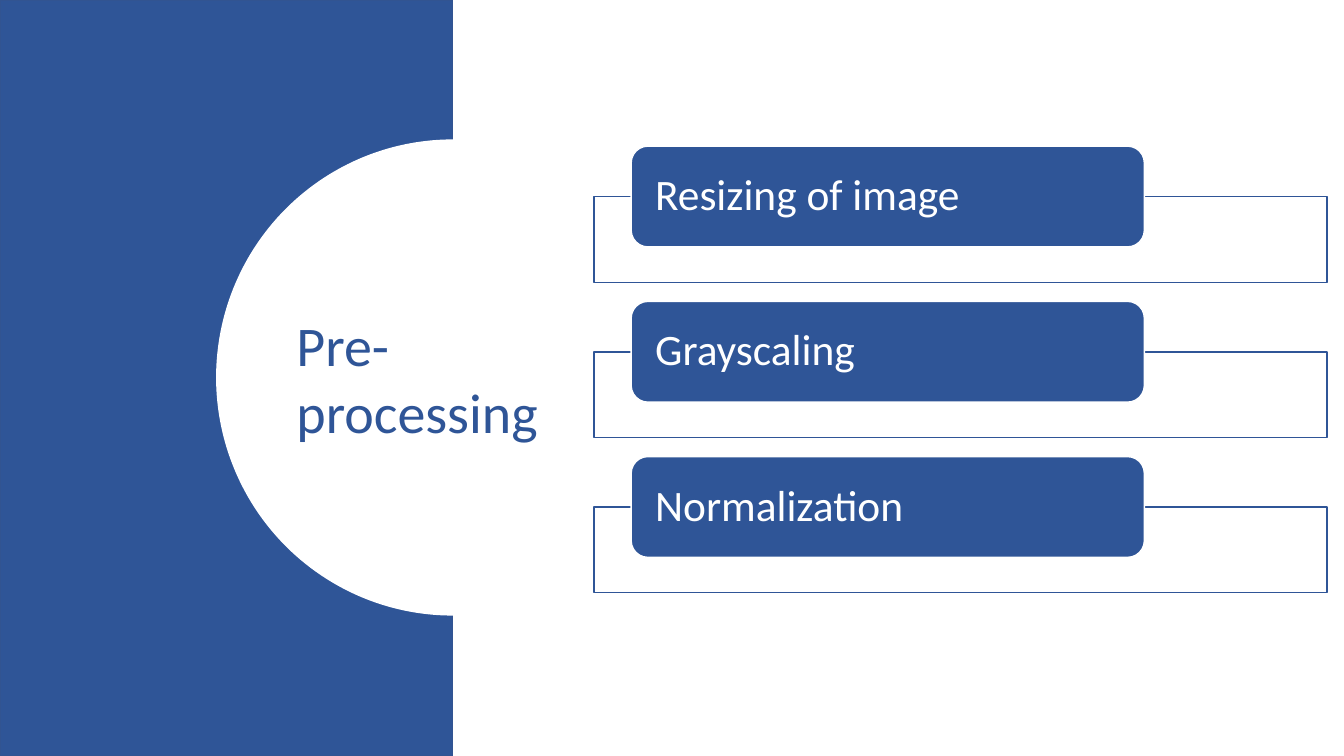
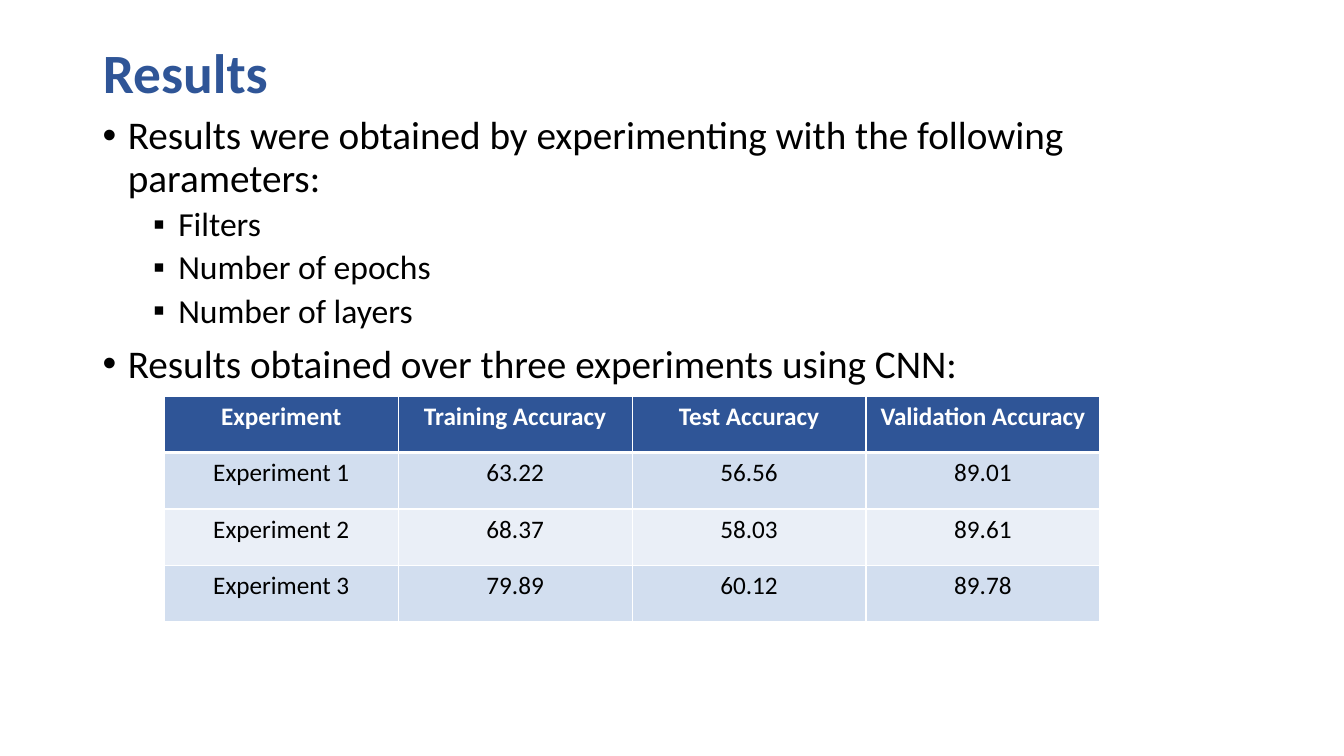
from lxml import etree
from pptx import Presentation
from pptx.dml.color import RGBColor
from pptx.enum.shapes import MSO_SHAPE
from pptx.enum.text import MSO_ANCHOR, MSO_AUTO_SIZE, PP_ALIGN
from pptx.oxml.ns import qn
from pptx.util import Inches, Pt

RECT = MSO_SHAPE.RECTANGLE
ROUND_RECT = MSO_SHAPE.ROUNDED_RECTANGLE
ELLIPSE = MSO_SHAPE.OVAL
MIDDLE = MSO_ANCHOR.MIDDLE
TOP = MSO_ANCHOR.TOP
LEFT = PP_ALIGN.LEFT
CENTER = PP_ALIGN.CENTER
NO_AUTOFIT = MSO_AUTO_SIZE.NONE

FONT = "Calibri"
BLUE = "2F5597"
PANEL_EDGE = "325491"
WHITE = "FFFFFF"
BLACK = "000000"
ROW_TINTS = ("D2DEEF", "EAEFF7")

STEPS = ("Resizing of image", "Grayscaling", "Normalization")
# Bullet level and text
FINDINGS = (
    (0, "Results were obtained by experimenting with the following parameters:"),
    (1, "Filters"),
    (1, "Number of epochs"),
    (1, "Number of layers"),
    (0, "Results obtained over three experiments using CNN:"),
)
# Per level: bullet, left indent in inches, size and space before in points
BULLET_LEVELS = (("•", 0.25, 28, 10), ("▪", 0.75, 24, 5))
ACCURACY = (
    ("Experiment", "Training Accuracy", "Test Accuracy", "Validation Accuracy"),
    ("Experiment 1", "63.22", "56.56", "89.01"),
    ("Experiment 2", "68.37", "58.03", "89.61"),
    ("Experiment 3", "79.89", "60.12", "89.78"),
)


def rgb(hex_color):
    return RGBColor.from_string(hex_color)


def box(left, top, width, height):
    return [Inches(v) for v in (left, top, width, height)]


def add_run(p, text, size, color, bold=False):
    r = p.add_run()
    r.text = text
    r.font.name = FONT
    r.font.size = Pt(size)
    r.font.bold = bold
    r.font.color.rgb = rgb(color)


def add_shape(slide, kind, position, fill, line):
    sp = slide.shapes.add_shape(kind, *box(*position))
    sp.shadow.inherit = False
    sp.fill.solid()
    sp.fill.fore_color.rgb = rgb(fill)
    sp.line.color.rgb = rgb(line)
    sp.line.width = Pt(1)
    return sp


def set_title(slide, text, position, size, bold=False, spacing=1.0):
    """Place and format the title, in front of the shapes drawn so far."""
    title = slide.shapes.title
    title.left, title.top, title.width, title.height = box(*position)
    slide.shapes._spTree.append(title._element)
    tf = title.text_frame
    tf.auto_size = NO_AUTOFIT
    tf.word_wrap = True
    tf.vertical_anchor = MIDDLE
    p = tf.paragraphs[0]
    p.alignment = LEFT
    p.line_spacing = spacing
    add_run(p, text, size, BLUE, bold)


def add_step(slide, text, top):
    """Add a blue card that overlaps an outlined band."""
    add_shape(slide, RECT, (5.89, top + 0.5, 7.27, 0.85), WHITE, BLUE)
    card = add_shape(slide, ROUND_RECT, (6.26, top, 5.09, 1), BLUE, WHITE)
    tf = card.text_frame
    tf.word_wrap = True
    tf.vertical_anchor = MIDDLE
    tf.margin_left = tf.margin_right = Inches(0.19)
    tf.margin_top = tf.margin_bottom = 0
    p = tf.paragraphs[0]
    p.alignment = LEFT
    p.line_spacing = 0.9
    add_run(p, text, 31, WHITE)


def set_bullet(p, char, indent):
    """Give a paragraph a bullet that hangs a quarter inch."""
    pPr = p._p.get_or_add_pPr()
    pPr.set("marL", str(Inches(indent)))
    pPr.set("indent", str(-Inches(0.25)))
    etree.SubElement(pPr, qn("a:buFont"), typeface="Arial")
    etree.SubElement(pPr, qn("a:buChar"), char=char)


def add_bullets(slide, items, position):
    tf = slide.shapes.add_textbox(*box(*position)).text_frame
    tf.word_wrap = True
    for i, (level, text) in enumerate(items):
        char, indent, size, space = BULLET_LEVELS[level]
        p = tf.add_paragraph() if i else tf.paragraphs[0]
        set_bullet(p, char, indent)
        p.level = level
        p.line_spacing = 0.9
        if i:
            p.space_before = Pt(space)
        add_run(p, text, size, BLACK)


def set_borders(cell, widths):
    """Draw white borders; widths are points for left, right, top, bottom."""
    tcPr = cell._tc.get_or_add_tcPr()
    for side, width in zip("LRTB", widths):
        ln = etree.SubElement(tcPr, qn(f"a:ln{side}"), w=str(Pt(width)))
        fill = etree.SubElement(ln, qn("a:solidFill"))
        etree.SubElement(fill, qn("a:srgbClr"), val=WHITE)


def add_table(slide, rows, position):
    frame = slide.shapes.add_table(len(rows), len(rows[0]), *box(*position))
    table = frame.table
    for i, row in enumerate(rows):
        header = i == 0
        fill = BLUE if header else ROW_TINTS[(i - 1) % 2]
        for j, text in enumerate(row):
            cell = table.cell(i, j)
            set_borders(cell, (1, 1, 3 if i == 1 else 1, 3 if header else 1))
            cell.fill.solid()
            cell.fill.fore_color.rgb = rgb(fill)
            cell.vertical_anchor = TOP
            p = cell.text_frame.paragraphs[0]
            p.alignment = CENTER
            add_run(p, text, 18, WHITE if header else BLACK, header)


def build_preprocessing(slide):
    add_shape(slide, RECT, (0, 0, 4.49, 7.5), BLUE, PANEL_EDGE)
    add_shape(slide, ELLIPSE, (2.15, 1.39, 4.68, 4.71), WHITE, WHITE)
    set_title(slide, "Pre-processing", (2.84, 2.08, 3.31, 3.33), 40)
    for i, step in enumerate(STEPS):
        add_step(slide, step, 1.45 + i * 1.54)


def build_results(slide):
    set_title(slide, "Results", (0.92, 0.4, 11.5, 0.7), 39.6, True, 0.9)
    add_bullets(slide, FINDINGS, (0.92, 1.1, 11.5, 5.65))
    add_table(slide, ACCURACY, (1.63, 3.93, 9.28, 2.24))


def main():
    prs = Presentation()
    prs.slide_width, prs.slide_height = Inches(13.33), Inches(7.5)
    title_only = prs.slide_layouts[5]
    for build in (build_preprocessing, build_results):
        build(prs.slides.add_slide(title_only))
    prs.save("out.pptx")


if __name__ == "__main__":
    main()
